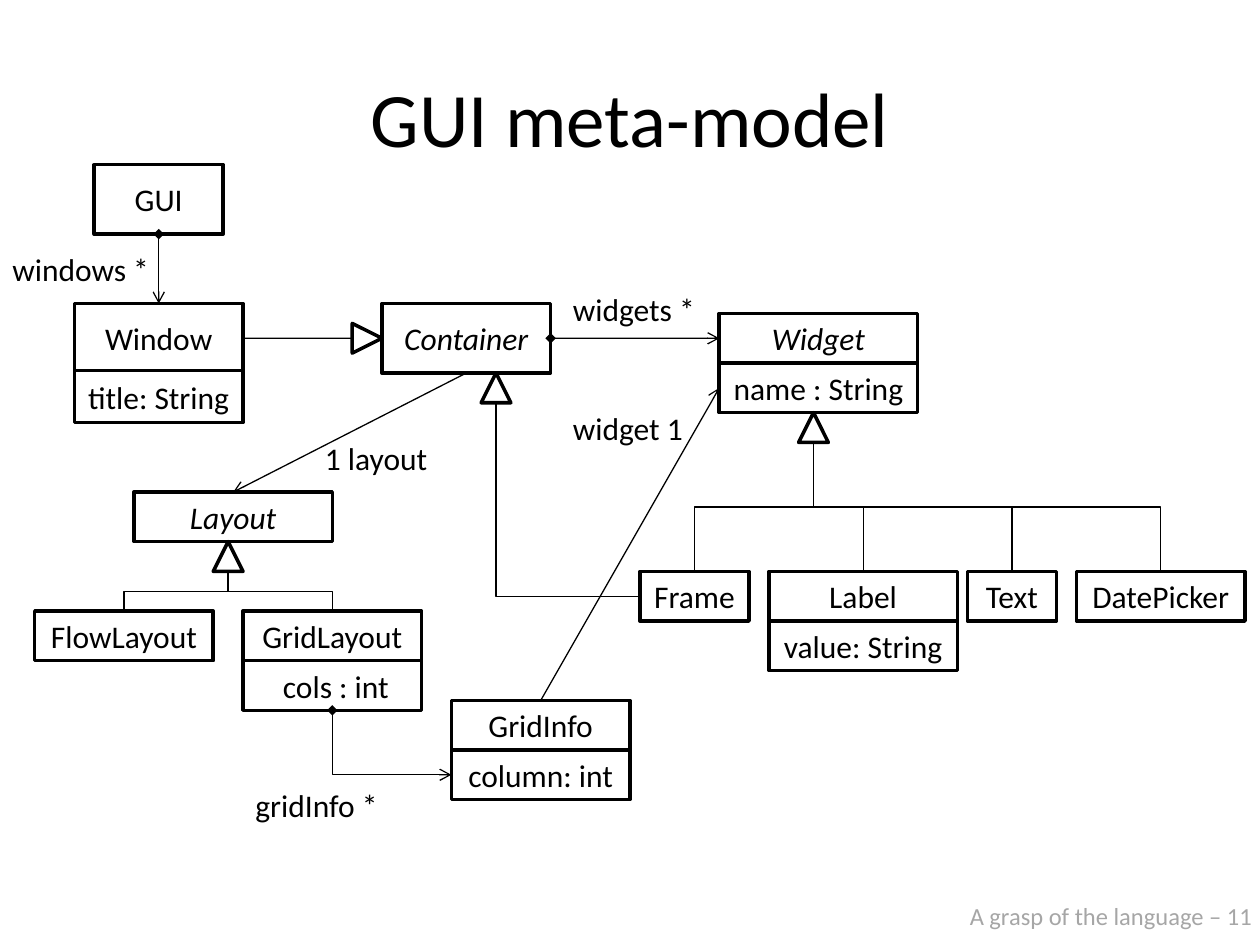
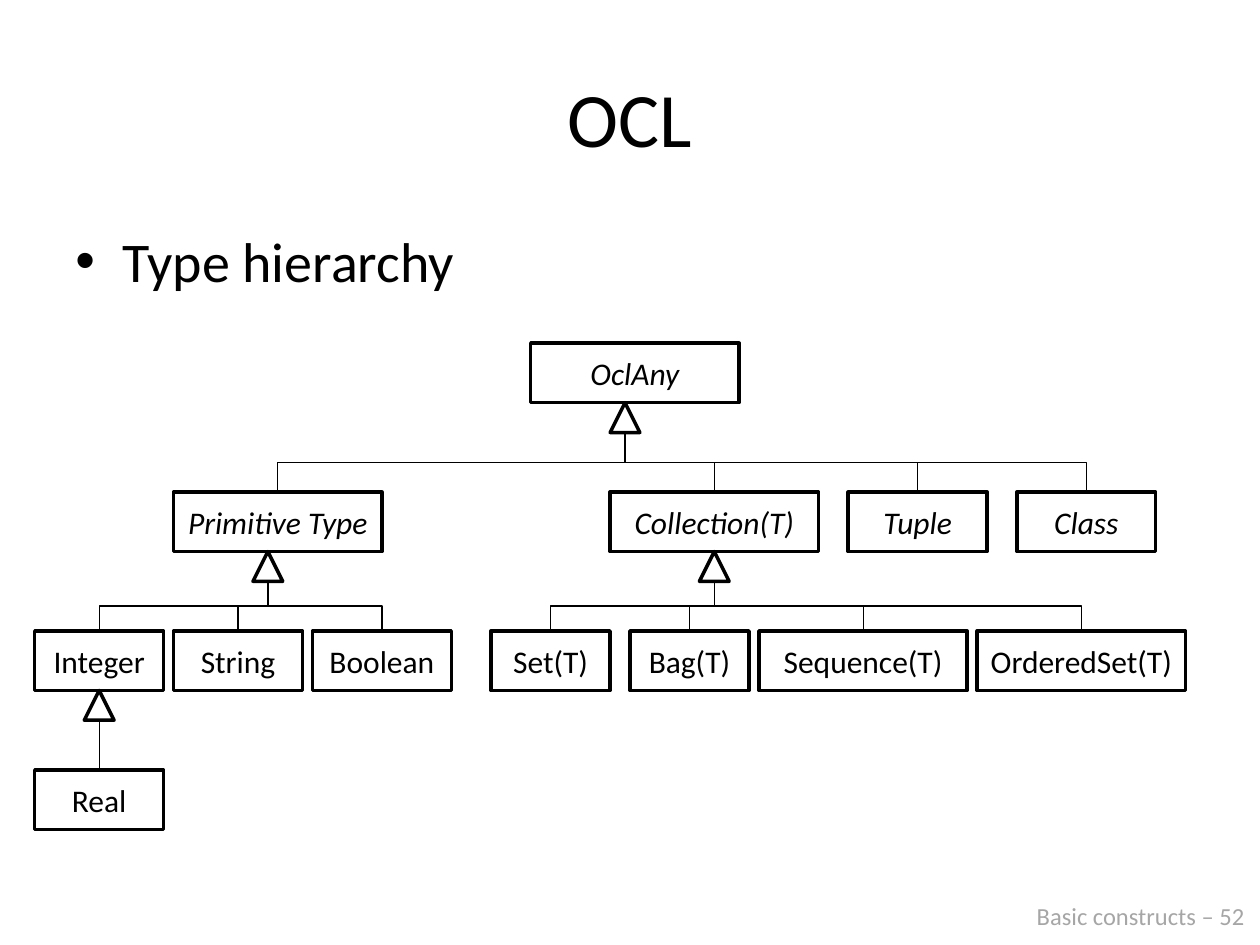
from dataclasses import dataclass

from lxml.etree import SubElement
from pptx import Presentation
from pptx.dml.color import RGBColor
from pptx.enum.shapes import MSO_CONNECTOR, MSO_SHAPE
from pptx.enum.text import MSO_ANCHOR, MSO_AUTO_SIZE, PP_ALIGN
from pptx.oxml.ns import qn
from pptx.util import Cm, Pt


@dataclass(frozen=True)
class Theme:
    font: str = "Calibri"
    ink: RGBColor = RGBColor(0, 0, 0)
    paper: RGBColor = RGBColor(255, 255, 255)
    footer_ink: RGBColor = RGBColor(0xA6, 0xA6, 0xA6)
    title_size: int = 44
    body_size: int = 32
    class_size: int = 18
    footer_size: int = 14
    outline: float = 2
    link: float = 0.75


@dataclass(frozen=True)
class Box:
    left: float
    top: float
    width: float
    height: float

    def inner(self, left, top, width, height):
        return Box(self.left + left, self.top + top, width, height)

    def lengths(self):
        return Cm(self.left), Cm(self.top), Cm(self.width), Cm(self.height)


THEME = Theme()
ARROW = 0.6
ROW = 1.0
TOP, LEFT, BOTTOM, RIGHT = range(4)


def add_run(paragraph, text, size, color=THEME.ink, italic=False):
    run = paragraph.add_run()
    run.text = text
    run.font.name = THEME.font
    run.font.size = Pt(size)
    run.font.color.rgb = color
    if italic:
        run.font.italic = True


def add_label(slide, box, text, size=THEME.class_size, color=THEME.ink):
    frame = slide.shapes.add_textbox(*box.lengths()).text_frame
    frame.word_wrap = False
    frame.auto_size = MSO_AUTO_SIZE.SHAPE_TO_FIT_TEXT
    add_run(frame.paragraphs[0], text, size, color)


def add_title(slide, box, text):
    frame = slide.shapes.add_textbox(*box.lengths()).text_frame
    frame.word_wrap = True
    frame.vertical_anchor = MSO_ANCHOR.MIDDLE
    frame.paragraphs[0].alignment = PP_ALIGN.CENTER
    add_run(frame.paragraphs[0], text, THEME.title_size)


def add_bullet(slide, box, text):
    frame = slide.shapes.add_textbox(*box.lengths()).text_frame
    frame.word_wrap = True
    paragraph = frame.paragraphs[0]
    properties = paragraph._p.get_or_add_pPr()
    properties.set("marL", str(Cm(0.95)))
    properties.set("indent", str(-Cm(0.95)))
    SubElement(properties, qn("a:buFont"), typeface="Arial")
    SubElement(properties, qn("a:buChar"), char="•")
    add_run(paragraph, text, THEME.body_size)


def add_outlined(slide, kind, box):
    shape = slide.shapes.add_shape(kind, *box.lengths())
    shape.shadow.inherit = False
    shape.fill.solid()
    shape.fill.fore_color.rgb = THEME.paper
    shape.line.color.rgb = THEME.ink
    shape.line.width = Pt(THEME.outline)
    return shape


def add_class(slide, box, name, italic=False):
    shape = add_outlined(slide, MSO_SHAPE.RECTANGLE, box)
    frame = shape.text_frame
    frame.word_wrap = False
    frame.vertical_anchor = MSO_ANCHOR.MIDDLE
    frame.paragraphs[0].alignment = PP_ALIGN.CENTER
    add_run(frame.paragraphs[0], name, THEME.class_size, italic=italic)
    return shape


def add_class_row(slide, box, entries, italic=False):
    return [
        add_class(slide, box.inner(left, 0, width, box.height), name, italic)
        for name, left, width in entries
    ]


def add_class_with_attribute(slide, box, name, attribute, italic=False):
    rows = [(name, italic), (attribute, False)]
    return [
        add_class(slide, box.inner(0, index * ROW, box.width, ROW), text, slanted)
        for index, (text, slanted) in enumerate(rows)
    ]


def style_link(connector, head=None, tail=None):
    connector.line.color.rgb = THEME.ink
    connector.line.width = Pt(THEME.link)
    properties = connector.element.spPr
    line = properties.find(qn("a:ln"))
    if head:
        SubElement(line, qn("a:headEnd"), type=head)
    if tail:
        SubElement(line, qn("a:tailEnd"), type=tail)
    SubElement(properties, qn("a:effectLst"))


def add_link(slide, source, source_side, target, target_side, head=None):
    connector = slide.shapes.add_connector(MSO_CONNECTOR.STRAIGHT, 0, 0, 0, 0)
    connector.begin_connect(source, source_side)
    connector.end_connect(target, target_side)
    style_link(connector, head, "arrow")


def add_stem(slide, source, side, end):
    start = middle(source, side)
    connector = slide.shapes.add_connector(MSO_CONNECTOR.STRAIGHT, *start, *end)
    connector.begin_connect(source, side)
    style_link(connector)


def add_elbow(slide, start, end, turn, flips="", corners=2, head=None, tail=None):
    width, height = abs(end[0] - start[0]), abs(end[1] - start[1])
    center_x, center_y = (start[0] + end[0]) // 2, (start[1] + end[1]) // 2
    if turn in (90, 270):
        width, height = height, width
    left, top = center_x - width // 2, center_y - height // 2
    connector = slide.shapes.add_connector(
        MSO_CONNECTOR.ELBOW, left, top, left + width, top + height
    )
    properties = connector.element.spPr
    transform = properties.find(qn("a:xfrm"))
    transform.set("rot", str(turn * 60000))
    for flip in flips:
        transform.set("flip" + flip, "1")
    if corners == 1:
        properties.find(qn("a:prstGeom")).set("prst", "bentConnector2")
    style_link(connector, head, tail)


def middle(shape, side):
    across = {LEFT: 0, RIGHT: shape.width}.get(side, shape.width // 2)
    down = {TOP: 0, BOTTOM: shape.height}.get(side, shape.height // 2)
    return shape.left + across, shape.top + down


def add_generalization(slide, parent, shift=0.0):
    tip_x, tip_y = middle(parent, BOTTOM)
    center = (tip_x + Cm(shift)) / Cm(1)
    add_outlined(
        slide,
        MSO_SHAPE.ISOSCELES_TRIANGLE,
        Box(center - ARROW / 2, tip_y / Cm(1), ARROW, ARROW),
    )
    return tip_x + Cm(shift), tip_y + Cm(ARROW)


def add_inheritance(slide, parent, children, shift=0.0):
    end = add_generalization(slide, parent, shift)
    for child in children:
        start = middle(child, TOP)
        if start[0] == end[0]:
            add_stem(slide, child, TOP, end)
        elif start[0] < end[0]:
            add_elbow(slide, start, end, 90, "HV")
        else:
            add_elbow(slide, start, end, 270, "V")


def draw_windows(slide, box):
    gui = add_class(slide, box.inner(1.9, 0, 2.6, 1.4), "GUI")
    window = add_class(slide, box.inner(1.5, 2.8, 3.4, 1.4), "Window")
    add_class(slide, box.inner(1.5, 4.15, 3.4, 1.05), "title: String")
    add_link(slide, gui, BOTTOM, window, TOP, "diamond")
    add_label(slide, box.inner(0, 1.6, 3.3, 1.02), "windows *")
    return window


def draw_widgets(slide, box):
    widget, name = add_class_with_attribute(
        slide, box.inner(1.6, 0, 4, 2 * ROW), "Widget", "name : String", True
    )
    children = add_class_row(
        slide,
        box.inner(0, 5.2, box.width, ROW),
        [("Frame", 0, 2.2), ("Text", 6.6, 1.8), ("DatePicker", 8.8, 3.4)],
    )
    label, _ = add_class_with_attribute(
        slide, box.inner(2.6, 5.2, 3.8, 2 * ROW), "Label", "value: String"
    )
    add_inheritance(slide, name, children + [label], -0.1)
    return widget, name, children[0]


def draw_layouts(slide, box):
    width = 3.6
    layout = add_class(slide, box.inner(2, 0, 4, ROW), "Layout", True)
    flow = add_class(slide, box.inner(0, 2.4, width, ROW), "FlowLayout")
    grid, columns = add_class_with_attribute(
        slide, box.inner(4.2, 2.4, width, 2 * ROW), "GridLayout", " cols : int"
    )
    info, column = add_class_with_attribute(
        slide, box.inner(8.4, 4.2, width, 2 * ROW), "GridInfo", "column: int"
    )
    add_inheritance(slide, layout, [flow, grid], -0.1)
    add_elbow(
        slide, middle(columns, BOTTOM), middle(column, LEFT),
        270, "H", 1, "diamond", "arrow",
    )
    add_label(slide, box.inner(4.2, 5.8, 3, 1.02), "gridInfo *")
    return layout, info


def draw_container(slide, box, window, frame):
    container = add_class(slide, box, "Container", True)
    triangle = add_outlined(
        slide,
        MSO_SHAPE.ISOSCELES_TRIANGLE,
        box.inner(-ARROW, (box.height - ARROW) / 2, ARROW, ARROW),
    )
    triangle.rotation = 90
    add_stem(slide, window, RIGHT, middle(triangle, LEFT))
    end = add_generalization(slide, container, 0.6)
    add_elbow(slide, middle(frame, LEFT), end, 180, corners=1)
    return container


def draw_meta_model(slide, box):
    window = draw_windows(slide, box.inner(0, 0, 4.9, 5.2))
    widget, name, frame = draw_widgets(slide, box.inner(12.9, 3, 12.2, 7.2))
    layout, info = draw_layouts(slide, box.inner(0.7, 6.6, 12, 6.8))
    container = draw_container(slide, box.inner(7.7, 2.8, 3.4, 1.4), window, frame)
    add_link(slide, container, RIGHT, widget, LEFT, "diamond")
    add_link(slide, container, BOTTOM, layout, TOP)
    add_link(slide, info, TOP, name, LEFT)
    add_label(slide, box.inner(11.3, 2.4, 3, 1.02), "widgets *")
    add_label(slide, box.inner(11.3, 4.8, 2.77, 1.02), "widget 1")
    add_label(slide, box.inner(6.3, 5.4, 2.6, 1.02), "1 layout")


def draw_type_hierarchy(slide, box):
    height = 1.2
    levels = [box.inner(0, top, box.width, height) for top in (0, 3, 5.8, 8.6)]
    root = add_class_row(slide, levels[0], [("OclAny", 10, 4.2)], True)[0]
    kinds = add_class_row(
        slide,
        levels[1],
        [("Primitive Type", 2.8, 4.2), ("Collection(T)", 11.6, 4.2),
         ("Tuple", 16.4, 2.8), ("Class", 19.8, 2.8)],
        True,
    )
    primitives = add_class_row(
        slide, levels[2],
        [("Integer", 0, 2.6), ("String", 2.8, 2.6), ("Boolean", 5.6, 2.8)],
    )
    collections = add_class_row(
        slide,
        levels[2],
        [("Set(T)", 9.2, 2.4), ("Bag(T)", 12, 2.4),
         ("Sequence(T)", 14.6, 4.2), ("OrderedSet(T)", 19, 4.2)],
    )
    real = add_class_row(slide, levels[3], [("Real", 0, 2.6)])
    add_inheritance(slide, root, kinds, -0.2)
    add_inheritance(slide, kinds[0], primitives, -0.2)
    add_inheritance(slide, kinds[1], collections)
    add_inheritance(slide, primitives[0], real)


def add_page(presentation, title, footer, footer_left, footer_width):
    slide = presentation.slides.add_slide(presentation.slide_layouts[6])
    add_title(slide, Box(1.27, 0.76, 22.86, 3.18), title)
    footer_box = Box(footer_left, 18.03, footer_width, 0.86)
    add_label(slide, footer_box, footer, THEME.footer_size, THEME.footer_ink)
    return slide


def main():
    presentation = Presentation()
    presentation.slide_width, presentation.slide_height = Cm(25.4), Cm(19.05)
    slide = add_page(
        presentation, "GUI meta-model", "A grasp of the language – 11", 19.3, 6.25
    )
    draw_meta_model(slide, Box(0, 3.32, 25.4, 13.4))
    slide = add_page(presentation, "OCL", "Basic constructs – 52", 20.65, 4.75)
    add_bullet(slide, Box(1.27, 4.45, 22.86, 12.57), "Type hierarchy")
    draw_type_hierarchy(slide, Box(0.7, 6.92, 23.2, 9.8))
    presentation.save("out.pptx")


if __name__ == "__main__":
    main()
